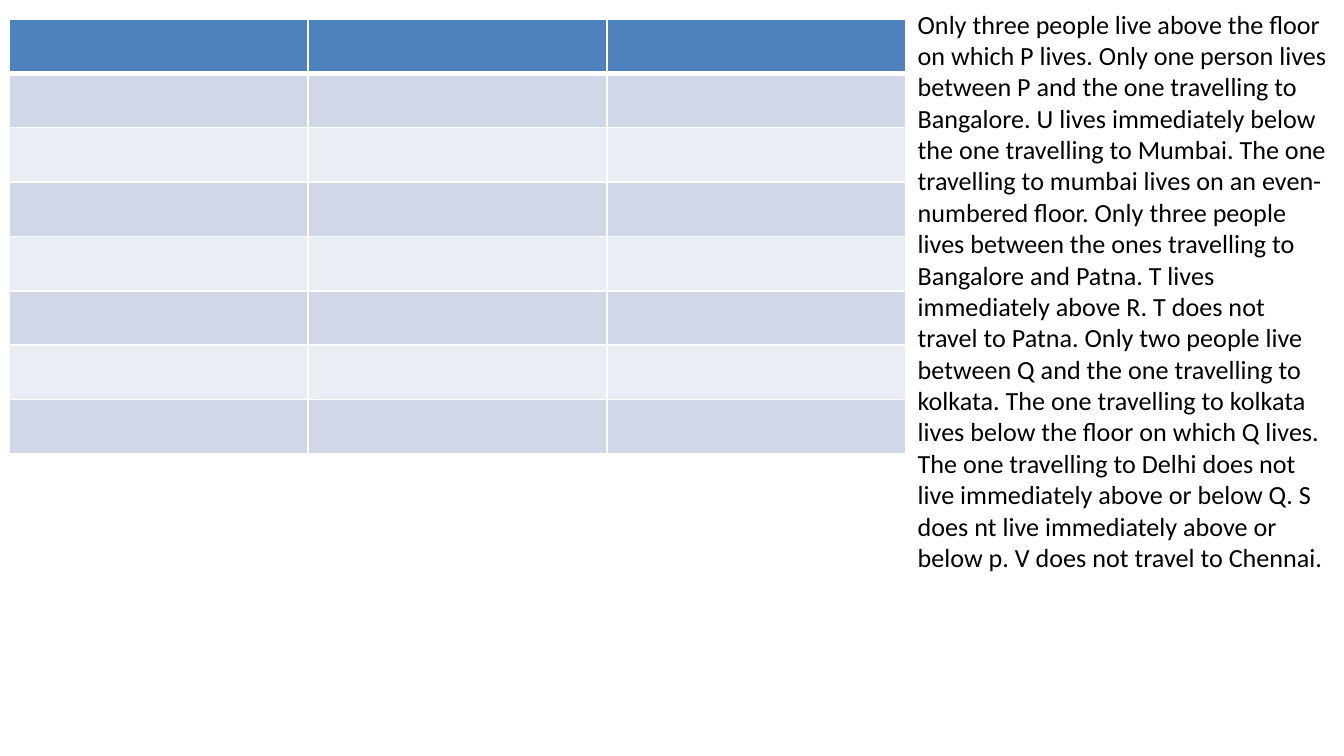
from dataclasses import dataclass

from lxml import etree
from pptx import Presentation
from pptx import util as u
from pptx.dml.color import RGBColor
from pptx.enum import text
from pptx.oxml import ns

COLORS = {"header": "4F81BD", "odd": "D0D8E8", "even": "E9EDF4",
          "rule": "FFFFFF", "ink": "000000"}
PUZZLE = (
    "Only three people live above the floor on which P lives. "
    "Only one person lives between P and the one travelling to Bangalore. "
    "U lives immediately below the one travelling to Mumbai. "
    "The one travelling to mumbai lives on an even-numbered floor. "
    "Only three people lives between the ones travelling to Bangalore and Patna. "
    "T lives immediately above R. T does not travel to Patna. "
    "Only two people live between Q and the one travelling to kolkata. "
    "The one travelling to kolkata lives below the floor on which Q lives. "
    "The one travelling to Delhi does not live immediately above or below Q. "
    "S does nt live immediately above or below p. "
    "V does not travel to Chennai. "
)
PUZZLE_FRAME = {"word_wrap": True, "auto_size": text.MSO_AUTO_SIZE.SHAPE_TO_FIT_TEXT}
PUZZLE_FONT = {"name": "Calibri", "size": u.Pt(14)}
WIDESCREEN = {"slide_width": u.Inches(10), "slide_height": u.Inches(10 * 9 / 16)}
COLUMNS = 3


@dataclass
class FloorRow:
    """Fill and horizontal rule widths (points) of one table row."""
    fill: str
    top: float = 1
    bottom: float = 1


FLOOR_ROWS = [FloorRow("header", bottom=3), FloorRow("odd", top=3)] + [
    FloorRow("odd" if number % 2 else "even") for number in range(2, 8)]


def apply_format(target: object, values: dict) -> None:
    """Set each named attribute on the target."""
    for name, value in values.items():
        setattr(target, name, value)


def add_rule(cell, side: str, width: float) -> None:
    """Draw one border of a table cell."""
    line = etree.SubElement(cell._tc.get_or_add_tcPr(), ns.qn(f"a:ln{side}"),
                            w=str(u.Pt(width)))
    fill = etree.SubElement(line, ns.qn("a:solidFill"))
    etree.SubElement(fill, ns.qn("a:srgbClr"), val=COLORS["rule"])


def style_cell(cell, row: FloorRow) -> None:
    """Give a cell its borders and fill."""
    for side, width in {"L": 1, "R": 1, "T": row.top, "B": row.bottom}.items():
        add_rule(cell, side, width)
    cell.fill.solid()
    cell.fill.fore_color.rgb = RGBColor.from_string(COLORS[row.fill])


def add_floor_table(slide) -> None:
    """Add the empty grid for the floor puzzle."""
    floors = slide.shapes.add_table(
        len(FLOOR_ROWS), COLUMNS,
        u.Inches(0.07), u.Inches(0.14), u.Inches(6.67), u.Inches(3.24)).table
    for index, row in enumerate(FLOOR_ROWS):
        for column in range(COLUMNS):
            style_cell(floors.cell(index, column), row)


def add_puzzle(slide) -> None:
    """Add the puzzle statement beside the grid."""
    frame = slide.shapes.add_textbox(
        u.Inches(6.73), u.Inches(0.01), u.Inches(3.27), u.Inches(4.64)).text_frame
    apply_format(frame, PUZZLE_FRAME)
    statement = frame.paragraphs[0].add_run()
    statement.text = PUZZLE
    apply_format(statement.font, PUZZLE_FONT)
    statement.font.color.rgb = RGBColor.from_string(COLORS["ink"])


def main() -> None:
    """Build and save the slide."""
    deck = Presentation()
    apply_format(deck, WIDESCREEN)
    slide = deck.slides.add_slide(deck.slide_layouts[6])
    add_puzzle(slide)
    add_floor_table(slide)
    deck.save("out.pptx")


main()
